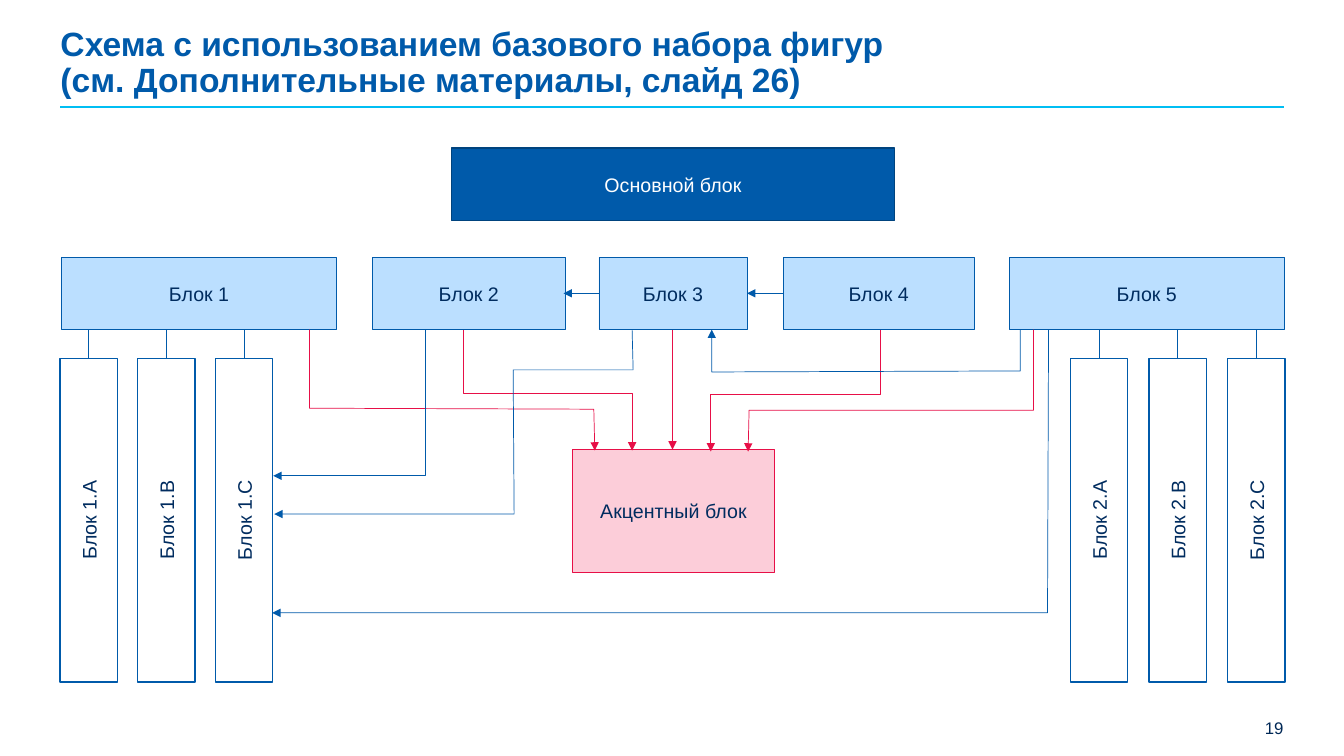
from lxml import etree
from pptx import Presentation
from pptx.dml.color import RGBColor
from pptx.enum import shapes, text
from pptx.oxml import ns
from pptx.util import Inches, Pt

HUES = {
    "navy": "002C5F", "page": "002856", "blue": "005AAA", "deep": "00437E",
    "cyan": "00BEF3", "sky": "BBDFFF", "red": "E70F47", "pink": "FCCDD9",
    "white": "FFFFFF",
}
TITLE = [
    "Схема с использованием базового набора фигур ",
    "(см. Дополнительные материалы, слайд 26)",
]
PAGE = "19"
STYLES = {
    "main": {"fill": "blue", "line": "deep", "width": 1, "ink": "white"},
    "block": {"fill": "sky", "line": "blue", "width": 0.5, "ink": "navy"},
    "column": {"fill": "white", "line": "blue", "width": 1, "ink": "navy"},
    "accent": {"fill": "pink", "line": "red", "width": 0.5, "ink": "navy"},
}
MAIN = ("Основной блок", 4.48, 1.47, 4.39, 0.72)
ACCENT = ("Акцентный блок", 5.68, 4.46, 2, 1.22)
ROW = {"top": 2.55, "height": 0.72}
BLOCKS = [
    ("Блок 1", 0.61, 2.73),
    ("Блок 2", 3.69, 1.92),
    ("Блок 3", 5.94, 1.47),
    ("Блок 4", 7.77, 1.89),
    ("Блок 5", 10.01, 2.73),
]
COLUMN = {"length": 3.21, "width": 0.57, "middle": 5.16}
SIDES = [
    (0.88, 0.77, ["Блок 1.А", "Блок 1.В", "Блок 1.С"]),
    (10.9, 0.78, ["Блок 2.А", "Блок 2.В", "Блок 2.С"]),
]
ARROWS = [
    ("red", (6.67, 3.27), (6.67, 4.46)),
    ("blue", (5.94, 2.91), (5.59, 2.91)),
    ("blue", (7.77, 2.91), (7.41, 2.91)),
]
ROUTES = [
    ("red", [(3.07, 3.27), (3.07, 4.05), (5.89, 4.06), (5.9, 4.47)]),
    ("red", [(4.6, 3.27), (4.6, 3.9), (6.27, 3.9), (6.27, 4.47)]),
    ("red", [(10.25, 3.27), (10.25, 4.07), (7.43, 4.07), (7.42, 4.48)]),
    ("red", [(8.73, 3.27), (8.73, 3.91), (7.05, 3.91), (7.05, 4.48)]),
    ("blue", [(10.12, 3.27), (10.12, 3.68), (7.06, 3.69), (7.06, 3.27)]),
    ("blue", [(6.27, 3.27), (6.28, 3.67), (5.09, 3.67), (5.1, 5.1), (2.72, 5.1)]),
    ("blue", [(4.22, 3.27), (4.22, 4.72), (2.71, 4.72)]),
    ("blue", [(10.4, 3.27), (10.39, 6.08), (2.7, 6.08)]),
]


def shade(name):
    return RGBColor.from_string(HUES[name])


def apply(target, values):
    for key, value in values.items():
        setattr(target, key, value)


def stroke(shape, hue, width, arrow=False):
    shape.line.color.rgb = shade(hue)
    shape.line.width = Pt(width)
    if arrow:
        tail = etree.SubElement(shape.line._get_or_add_ln(), ns.qn("a:tailEnd"))
        tail.set("type", "triangle")


def write(frame, lines, hue, size, align, bold=False, space=1.0):
    para = frame.paragraphs[0]
    apply(para, {"alignment": align, "line_spacing": space})
    for spot, line in enumerate(lines):
        if spot:
            para.add_line_break()
        run = para.add_run()
        run.text = line
        apply(run.font, {"name": "Arial", "size": Pt(size), "bold": bold})
        run.font.color.rgb = shade(hue)


def label(slide, place, lines, hue, size, align, **extra):
    frame = slide.shapes.add_textbox(*map(Inches, place)).text_frame
    apply(frame, {
        "word_wrap": True, "vertical_anchor": text.MSO_ANCHOR.MIDDLE,
        "margin_left": 0, "margin_right": 0, "margin_top": 0, "margin_bottom": 0,
    })
    write(frame, lines, hue, size, align, **extra)


def box(slide, kind, name, left, top, width, height, turn=0):
    style = STYLES[kind]
    place = map(Inches, (left, top, width, height))
    shape = slide.shapes.add_shape(shapes.MSO_SHAPE.RECTANGLE, *place)
    shape.shadow.inherit = False
    shape.rotation = turn
    shape.fill.solid()
    shape.fill.fore_color.rgb = shade(style["fill"])
    stroke(shape, style["line"], style["width"])
    apply(shape.text_frame, {
        "word_wrap": True, "vertical_anchor": text.MSO_ANCHOR.MIDDLE,
    })
    write(shape.text_frame, [name], style["ink"], 14, text.PP_ALIGN.CENTER)


def link(slide, hue, start, end, width=0.5, arrow=False):
    line = slide.shapes.add_connector(
        shapes.MSO_CONNECTOR.STRAIGHT, *map(Inches, start + end))
    stroke(line, hue, width, arrow)
    etree.SubElement(line._element.spPr, ns.qn("a:effectLst"))


def route(slide, hue, points):
    first, *rest = [tuple(map(Inches, point)) for point in points]
    pen = slide.shapes.build_freeform(*first, scale=1.0)
    pen.add_line_segments(rest, close=False)
    shape = pen.convert_to_shape()
    shape.shadow.inherit = False
    shape.fill.background()
    stroke(shape, hue, 0.5, True)


def main():
    deck = Presentation()
    apply(deck, {"slide_width": Inches(13.33), "slide_height": Inches(7.5)})
    slide = deck.slides.add_slide(deck.slide_layouts[6])

    link(slide, "cyan", (0.6, 1.06), (12.73, 1.06), 1.25)
    label(slide, (10.07, 7.12, 2.66, 0.2), [PAGE], "page", 12, text.PP_ALIGN.RIGHT)
    label(slide, (0.6, 0.45, 10.51, 0.36), TITLE, "blue", 24,
          text.PP_ALIGN.LEFT, bold=True, space=0.9)

    box(slide, "main", *MAIN)
    base = ROW["top"] + ROW["height"]
    long, thin, middle = COLUMN["length"], COLUMN["width"], COLUMN["middle"]
    for start, step, names in SIDES:
        for spot, name in enumerate(names):
            centre = start + spot * step
            link(slide, "blue", (centre, base), (centre, middle - long / 2))
            box(slide, "column", name, centre - long / 2, middle - thin / 2,
                long, thin, 270)
    box(slide, "accent", *ACCENT)
    for name, left, width in BLOCKS:
        box(slide, "block", name, left, ROW["top"], width, ROW["height"])
    for hue, start, end in ARROWS:
        link(slide, hue, start, end, arrow=True)
    for hue, points in ROUTES:
        route(slide, hue, points)

    deck.save("out.pptx")


if __name__ == "__main__":
    main()
